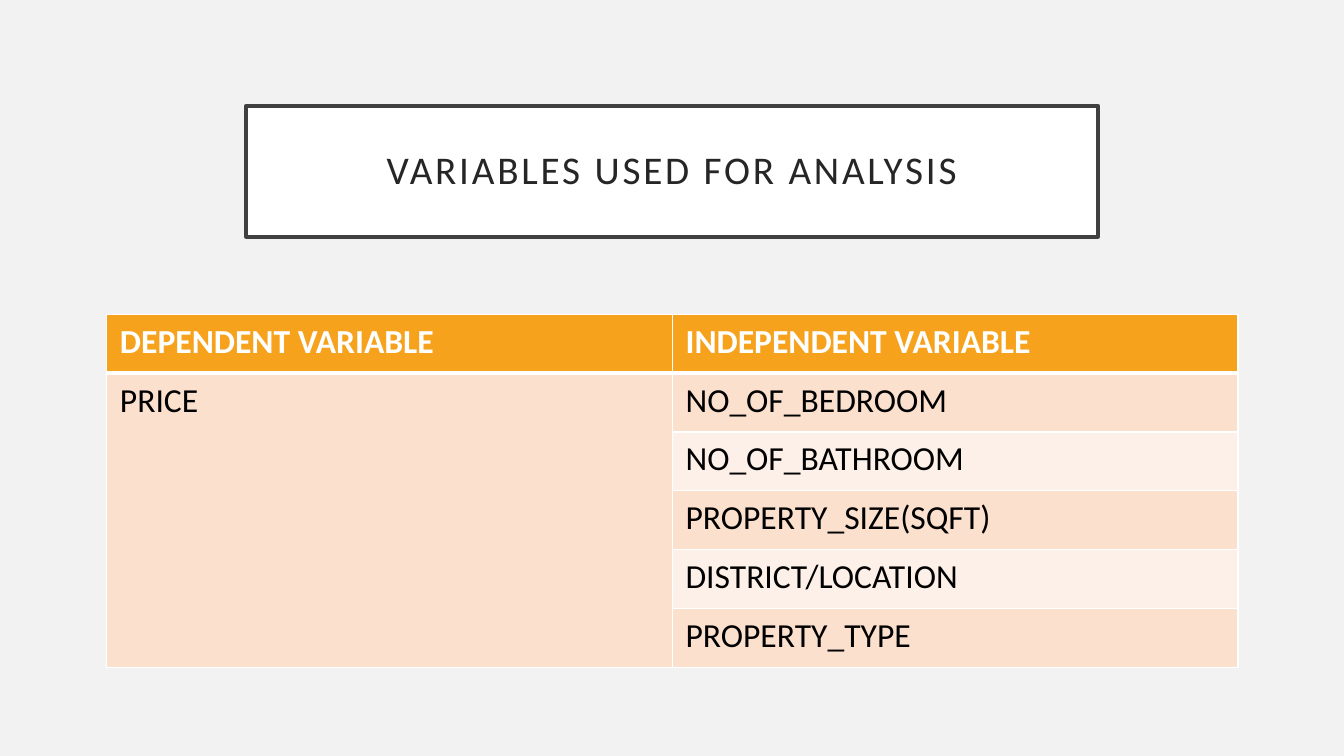
from pptx import Presentation
from pptx.dml.color import RGBColor
from pptx.enum.text import MSO_ANCHOR, PP_ALIGN
from pptx.oxml import parse_xml
from pptx.oxml.ns import nsdecls
from pptx.util import Inches, Pt

PAPER = RGBColor(0xF2, 0xF2, 0xF2)
WHITE = RGBColor(0xFF, 0xFF, 0xFF)
BLACK = RGBColor(0, 0, 0)
FRAME = RGBColor(0x40, 0x40, 0x40)
INK = RGBColor(0x26, 0x26, 0x26)
AMBER = RGBColor(0xF6, 0xA2, 0x1D)
PEACH = RGBColor(0xFB, 0xE0, 0xCD)
CREAM = RGBColor(0xFD, 0xF0, 0xE8)

FACTORS = ["NO_OF_BEDROOM", "NO_OF_BATHROOM", "PROPERTY_SIZE(SQFT)",
           "DISTRICT/LOCATION", "PROPERTY_TYPE"]
ROWS = [("DEPENDENT VARIABLE", "INDEPENDENT VARIABLE")]
ROWS += [("" if i else "PRICE", name) for i, name in enumerate(FACTORS)]


class Deck:
    face = "Calibri"

    def __init__(self, show):
        self.slide = show.slides.add_slide(show.slide_layouts[5])
        fill = self.slide.background.fill
        fill.solid()
        fill.fore_color.rgb = PAPER

    def style(self, para, size, color, bold=False):
        font = para.font
        font.name, font.size, font.bold = self.face, Pt(size), bold
        font.color.rgb = color

    def title(self, text, left, top, width, height):
        box = self.slide.shapes.title
        box.left, box.top = Inches(left), Inches(top)
        box.width, box.height = Inches(width), Inches(height)
        box.fill.solid()
        box.fill.fore_color.rgb = WHITE
        box.line.color.rgb = FRAME
        box.line.width = Pt(2.5)
        frame = box.text_frame
        frame.text = text
        frame.word_wrap = True
        frame.vertical_anchor = MSO_ANCHOR.MIDDLE
        frame.margin_left = frame.margin_right = Inches(0.2)
        frame.margin_top = frame.margin_bottom = Inches(0.2)
        para = frame.paragraphs[0]
        para.alignment = PP_ALIGN.CENTER
        para.line_spacing = 0.9
        self.style(para, 28, INK)
        # Letter spacing, in hundredths of a point
        para.runs[0].font._element.set("spc", "200")

    def edges(self, cell, widths):
        props = cell._tc.get_or_add_tcPr()
        for i, (side, width) in enumerate(zip("LRTB", widths)):
            props.insert(i, parse_xml(
                f'<a:ln{side} {nsdecls("a")} w="{Pt(width)}"><a:solidFill>'
                f'<a:srgbClr val="{WHITE}"/></a:solidFill></a:ln{side}>'))

    def cell(self, cell, text, row):
        head = row == 0
        cell.text = text
        cell.margin_left = cell.margin_right = Inches(0.13)
        cell.margin_top = cell.margin_bottom = Inches(0.07)
        cell.fill.solid()
        cell.fill.fore_color.rgb = AMBER if head else PEACH if row % 2 else CREAM
        self.style(cell.text_frame.paragraphs[0], 24,
                   WHITE if head else BLACK, head)
        # A thick rule parts the header from the body
        self.edges(cell, (1, 1, 3 if row == 1 else 1, 3 if head else 1))

    def table(self, rows, left, top, width, height):
        grid = self.slide.shapes.add_table(
            len(rows), len(rows[0]), Inches(left), Inches(top),
            Inches(width), Inches(height)).table
        for r, row in enumerate(rows):
            for c, text in enumerate(row):
                self.cell(grid.cell(r, c), text, r)
        grid.cell(1, 0).merge(grid.cell(len(rows) - 1, 0))


def main():
    show = Presentation()
    show.slide_width, show.slide_height = Inches(13.33), Inches(7.5)
    deck = Deck(show)
    # Framed heading
    deck.title("VARIABLES USED FOR ANALYSIS", 2.44, 1.05, 8.45, 1.3)
    # Variables by role
    deck.table(ROWS, 1.06, 3.12, 11.22, 3.5)
    show.save("out.pptx")


if __name__ == "__main__":
    main()
